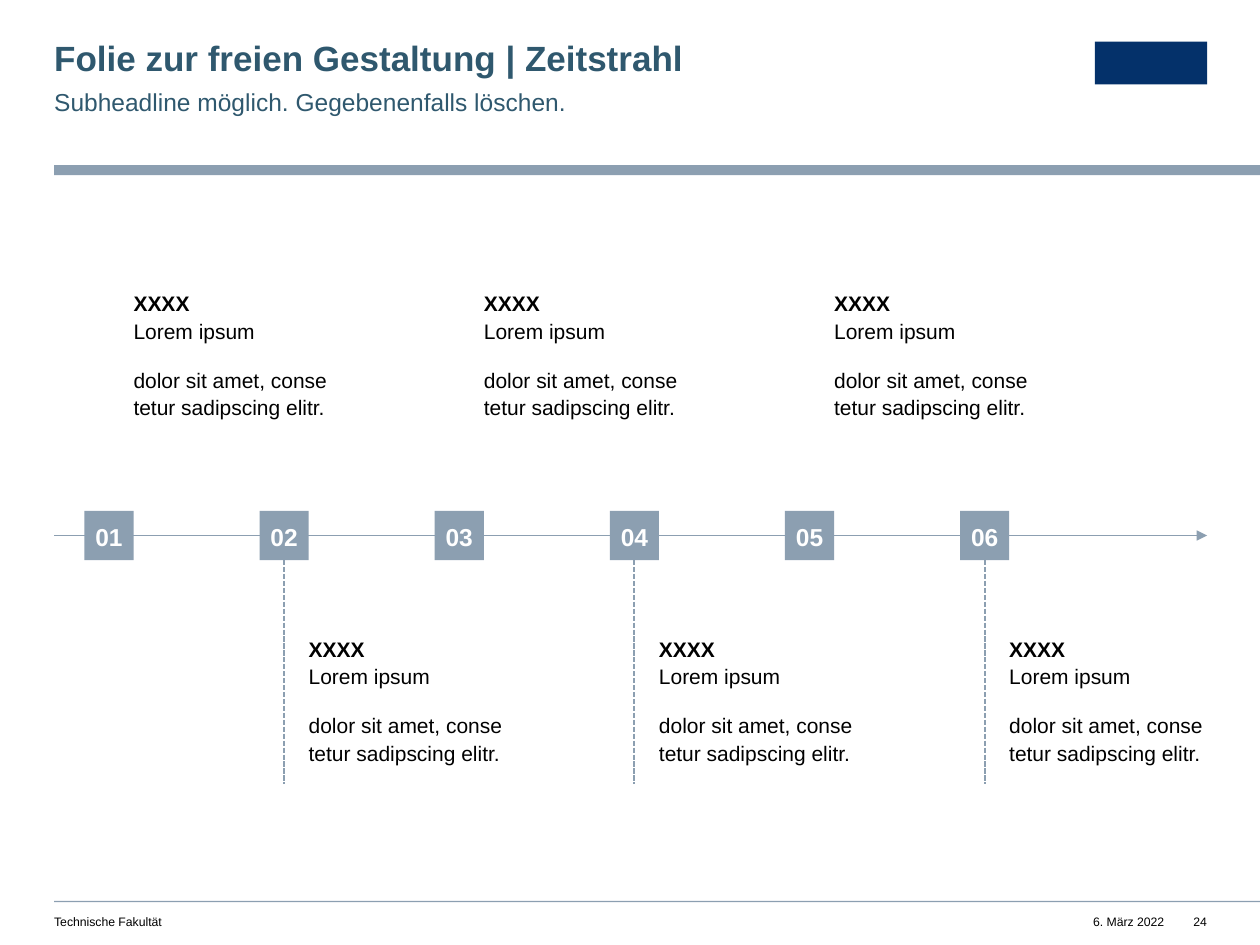
"""Build a timeline slide with six numbered milestones."""
from copy import deepcopy
from dataclasses import dataclass

from lxml.etree import SubElement
from pptx import Presentation
from pptx.dml.color import RGBColor
from pptx.enum.dml import MSO_LINE
from pptx.enum.shapes import MSO_CONNECTOR, MSO_SHAPE
from pptx.enum.text import MSO_ANCHOR, PP_ALIGN
from pptx.oxml.ns import qn
from pptx.util import Inches, Pt

COLORS = {"steel": "8C9FB1", "heading": "2F586E", "navy": "04316A",
          "text": "000000", "white": "FFFFFF"}
LEFT, RIGHT = 0.43, 9.58
AXIS_Y, MARKER_SIZE = 4.25, 0.39
FIRST_MARKER, MARKER_STEP = 0.67, 1.39
UPPER_TEXT, LOWER_TEXT, LOWER_LINE_END = 2.29, 5.03, 6.22
MILESTONE_TEXT = "XXXX\vLorem ipsum\ndolor sit amet, conse\vtetur sadipscing elitr."


@dataclass(frozen=True)
class Area:
    left: float
    top: float
    width: float
    height: float

    def lengths(self) -> list:
        return [Inches(v) for v in (self.left, self.top, self.width, self.height)]


@dataclass(frozen=True)
class TextStyle:
    size: float
    color: str = "text"
    bold: bool = False
    align: PP_ALIGN = PP_ALIGN.LEFT
    line_spacing: float = 1.0
    space_after: float = 0
    wrap: bool = True
    anchor: MSO_ANCHOR = MSO_ANCHOR.TOP


@dataclass(frozen=True)
class Label:
    text: str
    area: Area
    style: TextStyle


FOOTER = TextStyle(7)
FOOTER_RIGHT = TextStyle(7, align=PP_ALIGN.RIGHT, wrap=False)
MARKER = TextStyle(14, "white", True, PP_ALIGN.CENTER, 1.1, 12, anchor=MSO_ANCHOR.MIDDLE)
MILESTONE = TextStyle(12, line_spacing=1.1, space_after=12, wrap=False)
LABELS = [
    Label("Folie zur freien Gestaltung | Zeitstrahl", Area(LEFT, 0.33, 5.61, 0.3),
          TextStyle(20, "heading", True, line_spacing=0.9)),
    Label("Subheadline möglich. Gegebenenfalls löschen.", Area(LEFT, 0.67, 5.61, 0.24),
          TextStyle(14, "heading", line_spacing=1.1, space_after=8)),
    Label("Technische Fakultät", Area(LEFT, 7.26, 4.49, 0.12), FOOTER),
    Label("6. März 2022", Area(8.53, 7.26, 0.71, 0.12), FOOTER_RIGHT),
    Label("24", Area(9.38, 7.26, 0.2, 0.12), FOOTER_RIGHT),
]
BLOCKS = [
    (Area(LEFT, 1.31, 9.57, 0.08), "steel"),
    (Area(LEFT, 7.15, 9.57, 0.01), "steel"),
    (Area(8.69, 0.33, 0.89, 0.34), "navy"),
]


def rgb(name: str) -> RGBColor:
    return RGBColor.from_string(COLORS[name])


def write_text(shape, text: str, style: TextStyle) -> None:
    frame = shape.text_frame
    frame.margin_left = frame.margin_right = frame.margin_top = frame.margin_bottom = 0
    frame.word_wrap = style.wrap
    frame.vertical_anchor = style.anchor
    frame.text = text
    for para in frame.paragraphs:
        para.alignment = style.align
        para.line_spacing = style.line_spacing
        para.space_after = Pt(style.space_after)
        for span in para.runs:
            span.font.name = "Arial"
            span.font.size = Pt(style.size)
            span.font.bold = style.bold
            span.font.color.rgb = rgb(style.color)
        for line_break in para._p.findall(qn("a:br")):
            line_break.append(deepcopy(para.runs[0]._r.rPr))


def add_label(page, label: Label):
    box = page.shapes.add_textbox(*label.area.lengths())
    write_text(box, label.text, label.style)
    return box


def add_block(page, area: Area, color: str):
    block = page.shapes.add_shape(MSO_SHAPE.RECTANGLE, *area.lengths())
    block.shadow.inherit = False
    block.fill.solid()
    block.fill.fore_color.rgb = rgb(color)
    block.line.fill.background()
    return block


def add_line(page, start: tuple[float, float], end: tuple[float, float]):
    line = page.shapes.add_connector(
        MSO_CONNECTOR.STRAIGHT, *[Inches(v) for v in (*start, *end)])
    line.line.color.rgb = rgb("steel")
    line.line.width = Pt(1)
    SubElement(line._element.spPr, qn("a:effectLst"))
    return line


def add_milestone(page, index: int) -> None:
    left = FIRST_MARKER + index * MARKER_STEP
    is_lower = index % 2 == 1
    half = MARKER_SIZE / 2
    marker = add_block(page, Area(left, AXIS_Y - half, MARKER_SIZE, MARKER_SIZE), "steel")
    write_text(marker, f"{index + 1:02d}", MARKER)
    top = LOWER_TEXT if is_lower else UPPER_TEXT
    box = add_label(page, Label(MILESTONE_TEXT, Area(left + MARKER_SIZE, top, 1.55, 1.04), MILESTONE))
    box.text_frame.paragraphs[0].runs[0].font.bold = True
    if is_lower:
        stem = add_line(page, (left + half, AXIS_Y + half), (left + half, LOWER_LINE_END))
        stem.line.dash_style = MSO_LINE.SQUARE_DOT


def main() -> None:
    deck = Presentation()
    deck.slide_width, deck.slide_height = Inches(10), Inches(7.5)
    page = deck.slides.add_slide(deck.slide_layouts[6])
    for area, color in BLOCKS:
        add_block(page, area, color)
    for label in LABELS:
        add_label(page, label)
    axis = add_line(page, (LEFT, AXIS_Y), (RIGHT, AXIS_Y))
    SubElement(axis.line._get_or_add_ln(), qn("a:tailEnd"), type="triangle")
    for index in range(6):
        add_milestone(page, index)
    deck.save("out.pptx")


if __name__ == "__main__":
    main()
